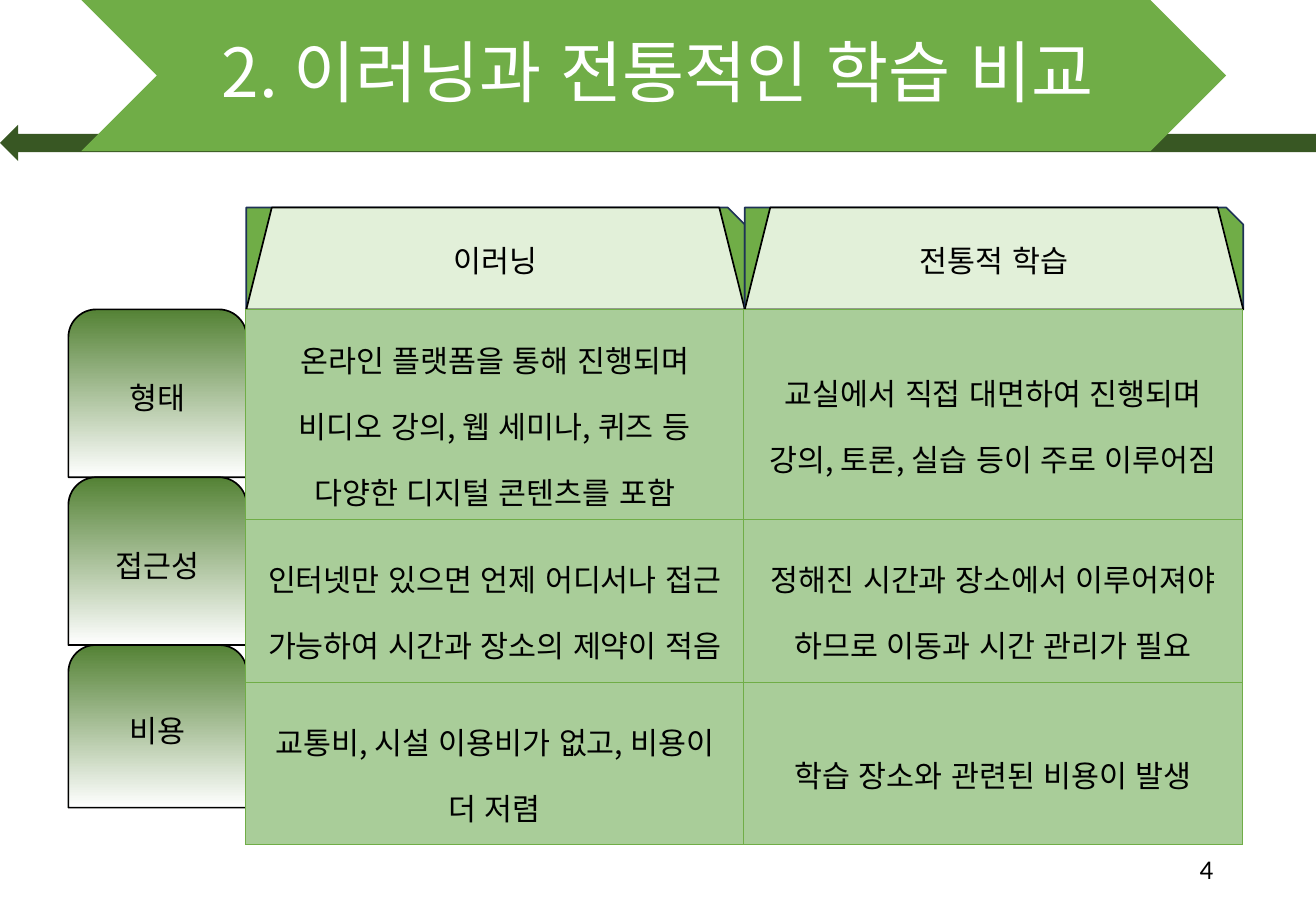
from lxml import etree
from pptx import Presentation
from pptx import util as u
from pptx.dml.color import RGBColor
from pptx.enum import shapes, text
from pptx.oxml.ns import qn

COLOURS = {"green": "70AD47", "dark": "385723", "tab": "548235", "navy": "1E3256",
           "pale": "E2F0D9", "cell": "A9CD99", "black": "000000", "white": "FFFFFF"}
FONT = "Noto Sans CJK KR"


def write(holder, words, size=18, colour="black", font=FONT,
          align=text.PP_ALIGN.CENTER, spacing=1.0):
    frame = holder.text_frame
    frame.word_wrap = True
    frame.vertical_anchor = text.MSO_ANCHOR.MIDDLE
    para = frame.paragraphs[0]
    para.alignment, para.line_spacing = align, spacing
    span = para.add_run()
    span.text = words
    span.font.size, span.font.name = u.Pt(size), font
    span.font.color.rgb = RGBColor.from_string(COLOURS[colour])
    span.font._element.set("lang", "ko-KR")
    span.font._element.set("kern", "0")  # keeps the spaces between Korean words wide
    etree.SubElement(span.font._element, qn("a:ea"), typeface=font)


def draw(kind, left, top, width, height, fill=None, line=None):
    """Add a preset shape; sizes in cm, and no fill name means the tab gradient."""
    shape = page.shapes.add_shape(kind, u.Cm(left), u.Cm(top), u.Cm(width), u.Cm(height))
    shape.shadow.inherit = False
    if fill:
        shape.fill.solid()
        shape.fill.fore_color.rgb = RGBColor.from_string(COLOURS[fill])
    else:
        shape.fill.gradient()
        shape.fill.gradient_angle = 270
        for stop, name in zip(shape.fill.gradient_stops, ("tab", "white")):
            stop.color.rgb = RGBColor.from_string(COLOURS[name])
    if line:
        shape.line.color.rgb = RGBColor.from_string(COLOURS[line])
        shape.line.width = u.Pt(1)
    else:
        shape.line.fill.background()
    return shape


deck = Presentation()
deck.slide_width, deck.slide_height = u.Cm(27.51), u.Cm(19.05)
page = deck.slides.add_slide(deck.slide_layouts[5])
kinds = shapes.MSO_SHAPE

# Banner and title
draw(kinds.LEFT_ARROW, 0, 2.61, 27.51, 0.76, "dark")
draw(kinds.CHEVRON, 1.7, 0, 23.93, 3.16, "green")
title = page.shapes.title
title.left, title.top, title.width, title.height = 0, 0, deck.slide_width, u.Cm(3.15)
title.text_frame.auto_size = text.MSO_AUTO_SIZE.NONE
write(title, "2. 이러닝과 전통적인 학습 비교", size=40, colour="white", spacing=0.9)
page.shapes._spTree.append(title._element)  # bring in front of the banner

# Row tabs
table_left, table_top, column_width, row_height = 5.13, 6.47, 10.42, 3.4
for index, (label, height) in enumerate([("형태", 3.51), ("접근성", 3.51), ("비용", 3.4)]):
    tab = draw(kinds.ROUND_2_SAME_RECTANGLE, 1.43, table_top + index * 3.51, 3.73, height,
               line="black")
    write(tab, label)

# Column headers
for index, label in enumerate(["이러닝", "전통적 학습"]):
    place = (5.15 + index * column_width, 4.34, column_width, 2.13)
    draw(kinds.SNIP_1_RECTANGLE, *place, "green", "navy")
    write(draw(kinds.TRAPEZOID, *place, "pale", "black"), label)

# Comparison table
rows = [
    ("온라인 플랫폼을 통해 진행되며 비디오 강의, 웹 세미나, 퀴즈 등 다양한 디지털 콘텐츠를 포함",
     "교실에서 직접 대면하여 진행되며 강의, 토론, 실습 등이 주로 이루어짐"),
    ("인터넷만 있으면 언제 어디서나 접근 가능하여 시간과 장소의 제약이 적음",
     "정해진 시간과 장소에서 이루어져야 하므로 이동과 시간 관리가 필요"),
    ("교통비, 시설 이용비가 없고, 비용이 더 저렴",
     "학습 장소와 관련된 비용이 발생"),
]
table = page.shapes.add_table(3, 2, u.Cm(table_left), u.Cm(table_top),
                              u.Cm(2 * column_width), u.Cm(3 * row_height)).table
table.first_row = table.horz_banding = False
for column in table.columns:
    column.width = u.Cm(column_width)
for row, words in zip(table.rows, rows):
    row.height = u.Cm(row_height)
    for cell, sentence in zip(row.cells, words):
        write(cell, sentence, spacing=1.5)
        cell.vertical_anchor = text.MSO_ANCHOR.MIDDLE
        properties = cell._tc.get_or_add_tcPr()
        for side in ("lnL", "lnR", "lnT", "lnB"):
            border = etree.SubElement(properties, qn(f"a:{side}"), w=str(u.Pt(0.5)))
            paint = etree.SubElement(border, qn("a:solidFill"))
            etree.SubElement(paint, qn("a:srgbClr"), val=COLOURS["green"])
        cell.fill.solid()
        cell.fill.fore_color.rgb = RGBColor.from_string(COLOURS["cell"])
for cell in table.rows[0].cells:
    cell.margin_left = cell.margin_right = u.Cm(0.45)

# Page number
number = page.shapes.add_textbox(u.Cm(19.41), u.Cm(17.65), u.Cm(6.2), u.Cm(1.02))
write(number, "4", size=16, font="Calibri", align=text.PP_ALIGN.RIGHT)

deck.save("out.pptx")
